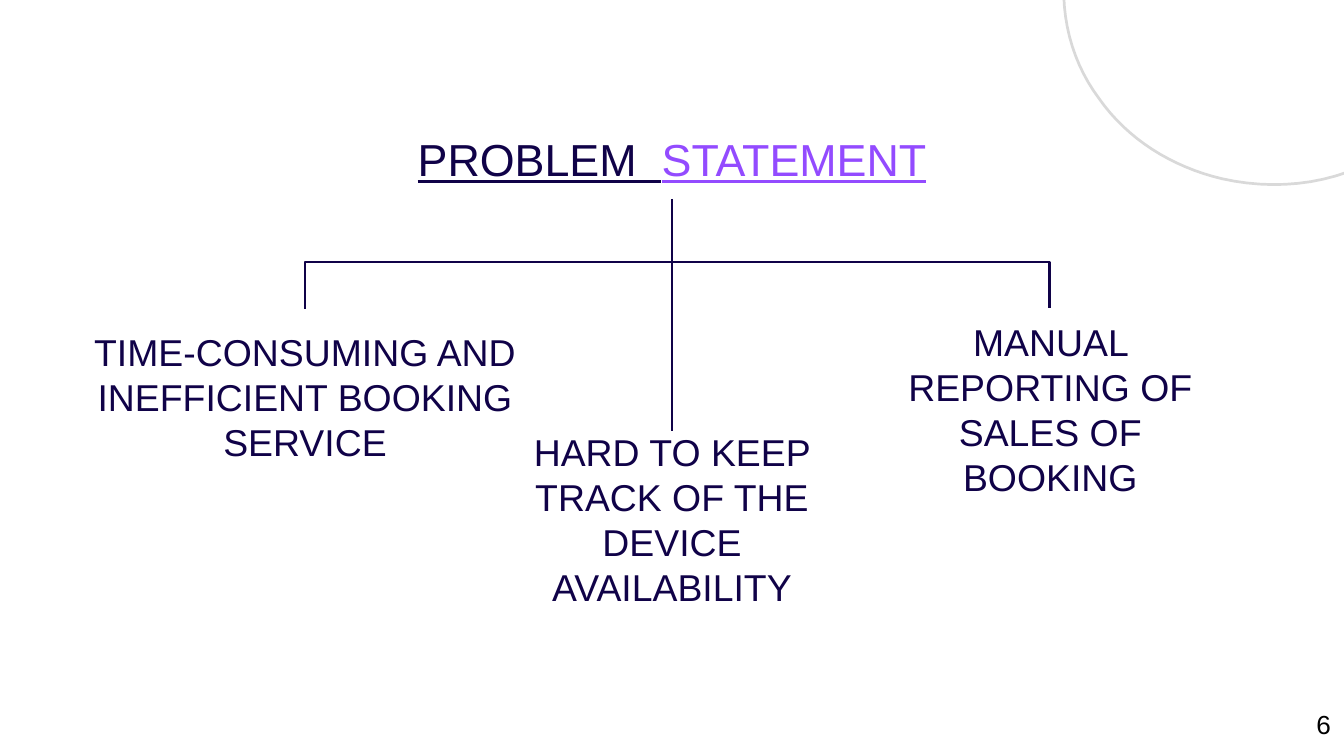
"""Build the problem statement slide: a title branching into three problems."""
from math import hypot

from pptx import Presentation
from pptx.dml.color import RGBColor
from pptx.enum.shapes import MSO_CONNECTOR as Conn
from pptx.enum.text import MSO_ANCHOR as Anchor, PP_ALIGN as Align
from pptx.oxml.ns import qn
from pptx.util import Inches, Pt

NAVY = RGBColor(0x10, 0x02, 0x48)
PURPLE = RGBColor(0x93, 0x4B, 0xFF)
GREY = RGBColor(0xD9, 0xD9, 0xD9)
BLACK = RGBColor(0, 0, 0)

TITLE = [("PROBLEM  ", NAVY), ("STATEMENT", PURPLE)]
TITLE_BOX = (0.78, 0.88, 8.44, 0.6)
PROBLEMS = [
    (["TIME-CONSUMING AND INEFFICIENT BOOKING SERVICE"], (0.56, 2.3, 3.42, 1.25)),
    (["HARD TO KEEP TRACK OF THE DEVICE", "AVAILABILITY"], (3.59, 3.21, 2.82, 1.42)),
    (["MANUAL REPORTING OF SALES OF BOOKING"], (6.41, 2.44, 2.81, 1.37)),
]
PAGE, PAGE_BOX = "6", (7.75, 5.22, 2.25, 0.3)
BRANCH_START, BRANCH_ENDS = (5, 1.95), [(2.27, 2.3), (7.81, 2.29)]

ARC_CENTER, ARC_THICKNESS, ARC_STEPS = (9.45, -0.1), 0.02, 16
ARC_START = (7.94, -0.42)
ARC_CURVES = [
    ((7.85, 0.01), (7.93, 0.42), (8.17, 0.74)),
    ((8.38, 1.04), (8.71, 1.25), (9.09, 1.34)),
    ((9.58, 1.45), (10.14, 1.36), (10.52, 0.98)),
    ((10.69, 0.81), (10.83, 0.58), (10.91, 0.28)),
]


def bezier(points, t):
    weights = ((1 - t) ** 3, 3 * t * (1 - t) ** 2, 3 * t * t * (1 - t), t ** 3)
    return tuple(sum(w * v for w, v in zip(weights, axis)) for axis in zip(*points))


def inward(point):
    dx, dy = (c - v for c, v in zip(ARC_CENTER, point))
    k = ARC_THICKNESS / hypot(dx, dy)
    return point[0] + dx * k, point[1] + dy * k


def add_arc(slide):
    outer = [ARC_START]
    for curve in ARC_CURVES:
        points = (outer[-1], *curve)
        outer += [bezier(points, i / ARC_STEPS) for i in range(1, ARC_STEPS + 1)]
    inner = [inward(point) for point in reversed(outer)]
    outline = [(Inches(x), Inches(y)) for x, y in outer + inner]
    builder = slide.shapes.build_freeform(*outline[0])
    builder.add_line_segments(outline[1:], close=True)
    s = builder.convert_to_shape()
    s.shadow.inherit = False
    s.fill.solid()
    s.fill.fore_color.rgb = GREY
    s.line.fill.background()


def place(s, box):
    s.left, s.top, s.width, s.height = map(Inches, box)


def write(s, paragraphs, size, align=Align.CENTER, anchor=Anchor.BOTTOM,
          inset=0.1, underline=None):
    tf = s.text_frame
    frame = {"word_wrap": True, "vertical_anchor": anchor}
    frame.update({f"margin_{side}": Inches(inset) for side in ("left", "top", "right", "bottom")})
    for name, value in frame.items():
        setattr(tf, name, value)
    for i, runs in enumerate(paragraphs):
        p = tf.add_paragraph() if i else tf.paragraphs[0]
        p.alignment, p.line_spacing = align, 1.0
        p.space_before = p.space_after = Pt(0)
        for text, color in runs:
            r = p.add_run()
            r.text = text
            font = {"name": "Arial", "size": Pt(size), "underline": underline}
            for name, value in font.items():
                setattr(r.font, name, value)
            r.font.color.rgb = color


def add_text(slide, box, paragraphs, size, **options):
    s = slide.shapes.add_textbox(*map(Inches, box))
    write(s, paragraphs, size, **options)
    return s


def add_line(slide, kind, start, end):
    s = slide.shapes.add_connector(kind, *map(Inches, start + end))
    s.line.color.rgb, s.line.width = NAVY, Pt(1.5)
    properties = s._element.spPr
    properties.append(properties.makeelement(qn("a:effectLst"), {}))
    return s


def main():
    prs = Presentation()
    prs.slide_width = Inches(10)
    prs.slide_height = prs.slide_width * 9 // 16
    slide = prs.slides.add_slide(prs.slide_layouts[5])
    add_arc(slide)

    title = slide.shapes.title
    place(title, TITLE_BOX)
    write(title, [TITLE], 24, underline=True)

    boxes = [
        add_text(slide, box, [[(line, NAVY)] for line in lines], 20)
        for lines, box in PROBLEMS
    ]

    trunk = add_line(slide, Conn.STRAIGHT, (5, 1.48), (5, 3.21))
    trunk.begin_connect(title, 2)
    trunk.end_connect(boxes[1], 0)
    for end in BRANCH_ENDS:
        branch = add_line(slide, Conn.ELBOW, BRANCH_START, end)
        branch._element.spPr.find(qn("a:prstGeom")).set("prst", "bentConnector2")

    add_text(slide, PAGE_BOX, [[(PAGE, BLACK)]], 14, align=Align.RIGHT,
             anchor=Anchor.TOP, inset=0.05).text_frame.margin_right = Inches(0.1)
    prs.save("out.pptx")


if __name__ == "__main__":
    main()
